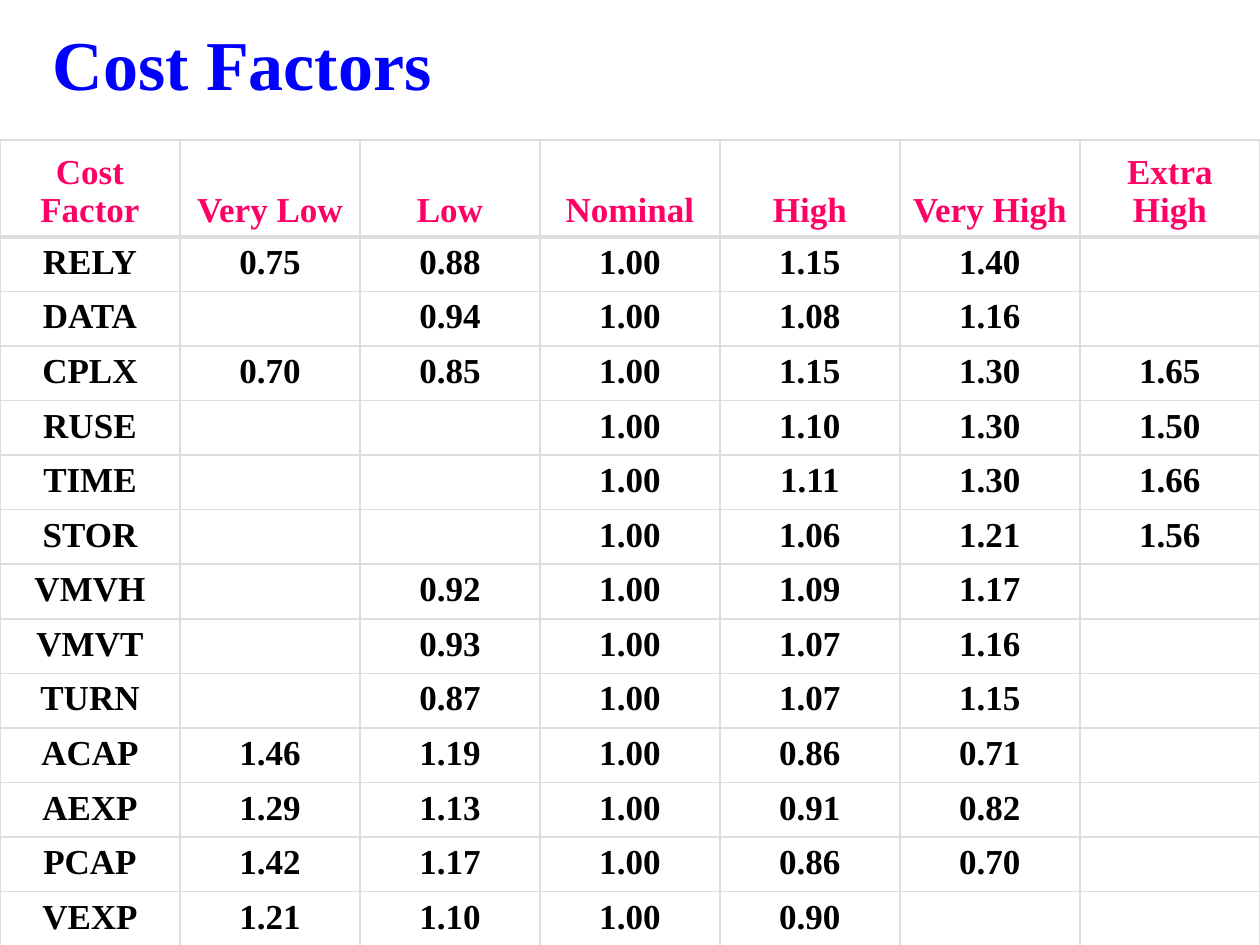
from dataclasses import dataclass

from lxml import etree
from pptx import Presentation
from pptx import util as u
from pptx.dml.color import RGBColor
from pptx.enum import text
from pptx.oxml import ns


@dataclass(frozen=True)
class Theme:
    font: str = "Times New Roman"
    title_color: str = "0000FF"
    header_color: str = "FF0066"
    body_color: str = "000000"
    rule_color: str = "DDDDDD"
    title_size: int = 40
    table_size: int = 20
    thin_rule: float = 1
    thick_rule: float = 3


RATINGS = ["Cost Factor", "Very Low", "Low", "Nominal", "High", "Very High", "Extra High"]
MULTIPLIERS = [
    ["RELY", "0.75", "0.88", "1.00", "1.15", "1.40", ""],
    ["DATA", "", "0.94", "1.00", "1.08", "1.16", ""],
    ["CPLX", "0.70", "0.85", "1.00", "1.15", "1.30", "1.65"],
    ["RUSE", "", "", "1.00", "1.10", "1.30", "1.50"],
    ["TIME", "", "", "1.00", "1.11", "1.30", "1.66"],
    ["STOR", "", "", "1.00", "1.06", "1.21", "1.56"],
    ["VMVH", "", "0.92", "1.00", "1.09", "1.17", ""],
    ["VMVT", "", "0.93", "1.00", "1.07", "1.16", ""],
    ["TURN", "", "0.87", "1.00", "1.07", "1.15", ""],
    ["ACAP", "1.46", "1.19", "1.00", "0.86", "0.71", ""],
    ["AEXP", "1.29", "1.13", "1.00", "0.91", "0.82", ""],
    ["PCAP", "1.42", "1.17", "1.00", "0.86", "0.70", ""],
    ["VEXP", "1.21", "1.10", "1.00", "0.90", "", ""],
]


class SlideBuilder:
    def __init__(self, slide, theme):
        self.slide = slide
        self.theme = theme

    def add_run(self, paragraph, words, size, color):
        run = paragraph.add_run()
        run.text = words
        run.font.name = self.theme.font
        run.font.size = u.Pt(size)
        run.font.bold = True
        run.font.color.rgb = RGBColor.from_string(color)

    def title(self, words, left, top, width, height):
        heading = self.slide.shapes.title
        heading.left, heading.top = u.Inches(left), u.Inches(top)
        heading.width, heading.height = u.Inches(width), u.Inches(height)
        frame = heading.text_frame
        frame.auto_size = text.MSO_AUTO_SIZE.NONE
        frame.vertical_anchor = text.MSO_ANCHOR.MIDDLE
        frame.paragraphs[0].alignment = text.PP_ALIGN.LEFT
        self.add_run(frame.paragraphs[0], words, self.theme.title_size, self.theme.title_color)

    def rule_cell(self, cell, top, bottom):
        """Draw the four borders; left and right are always thin."""
        properties = cell._tc.get_or_add_tcPr()
        thin = self.theme.thin_rule
        for side, points in (("L", thin), ("R", thin), ("T", top), ("B", bottom)):
            line = etree.SubElement(properties, ns.qn(f"a:ln{side}"), w=str(u.Pt(points)))
            fill = etree.SubElement(line, ns.qn("a:solidFill"))
            etree.SubElement(fill, ns.qn("a:srgbClr"), val=self.theme.rule_color)

    def table(self, header, body, left, top, width, height, header_height):
        theme = self.theme
        rows = [header, *body]
        grid = self.slide.shapes.add_table(
            len(rows), len(header),
            u.Inches(left), u.Inches(top), u.Inches(width), u.Inches(height),
        ).table
        grid.first_row = grid.horz_banding = False
        for column in grid.columns:
            column.width = u.Inches(width / len(header))
        for index, values in enumerate(rows):
            is_header = index == 0
            body_height = (height - header_height) / len(body)
            grid.rows[index].height = u.Inches(header_height if is_header else body_height)
            above = theme.thick_rule if index == 1 else theme.thin_rule
            below = theme.thick_rule if is_header else theme.thin_rule
            color = theme.header_color if is_header else theme.body_color
            for cell, value in zip(grid.rows[index].cells, values):
                self.rule_cell(cell, above, below)
                cell.fill.background()
                cell.vertical_anchor = text.MSO_ANCHOR.BOTTOM if is_header else text.MSO_ANCHOR.TOP
                if value:
                    paragraph = cell.text_frame.paragraphs[0]
                    paragraph.alignment = text.PP_ALIGN.CENTER
                    self.add_run(paragraph, value, theme.table_size, color)


def main():
    deck = Presentation()
    deck.slide_width, deck.slide_height = u.Inches(10), u.Inches(7.5)
    title_only = deck.slide_layouts[5]
    builder = SlideBuilder(deck.slides.add_slide(title_only), Theme())
    builder.title("Cost Factors", 0.32, 0.16, 8.5, 0.67)
    builder.table(RATINGS, MULTIPLIERS, 0, 1.11, 10, 6.4, header_height=0.77)
    deck.save("out.pptx")


if __name__ == "__main__":
    main()
